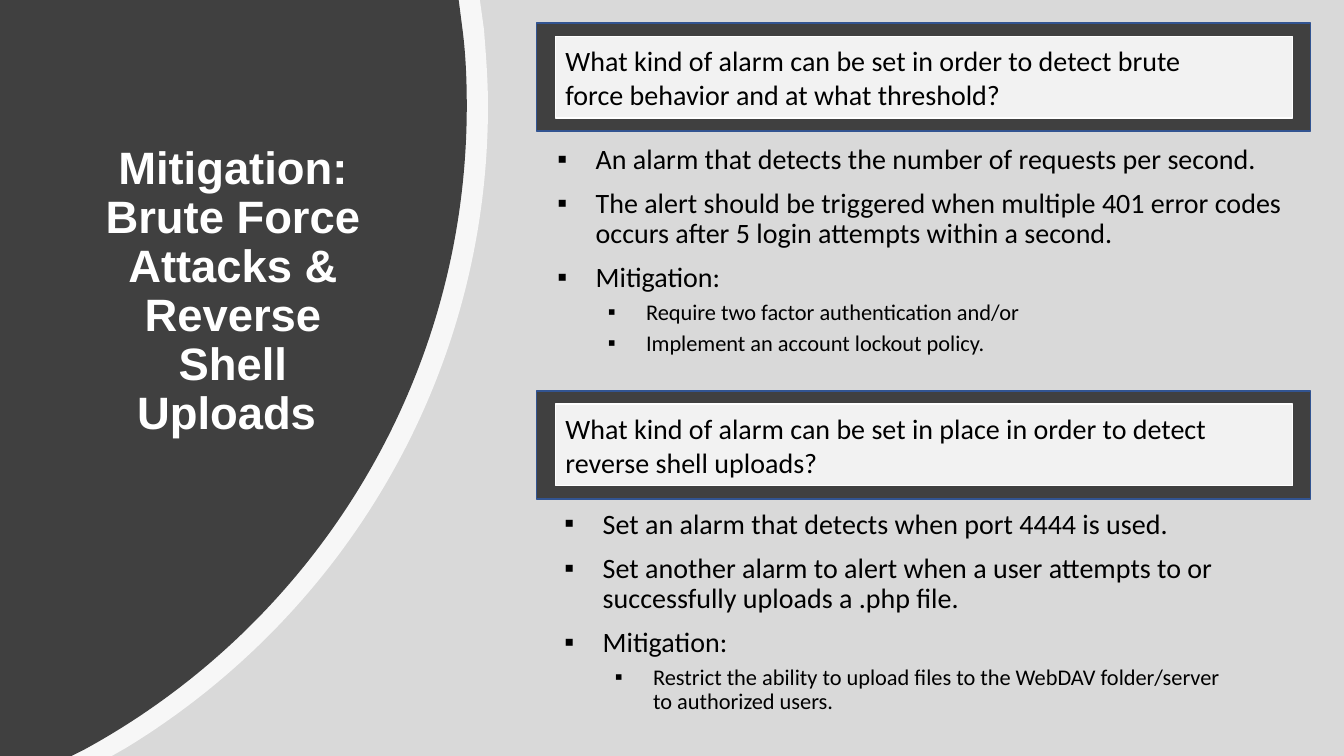
from lxml.etree import SubElement
from pptx import Presentation
from pptx.dml.color import RGBColor
from pptx.enum.shapes import MSO_SHAPE
from pptx.enum.text import MSO_ANCHOR, PP_ALIGN
from pptx.oxml.ns import qn
from pptx.util import Pt

PX = 9144
WIDTH, HEIGHT = 1333, 750
WHITE = RGBColor(0xFF, 0xFF, 0xFF)
BLACK = RGBColor(0x00, 0x00, 0x00)
CHARCOAL = RGBColor(0x40, 0x40, 0x40)
LIGHT = RGBColor(0xF2, 0xF2, 0xF2)
GREY = RGBColor(0xD9, 0xD9, 0xD9)
BLUE = RGBColor(0x32, 0x54, 0x91)
NBSP = chr(160)

TITLE = f"Mitigation: Brute Force Attacks &\vReverse Shell Uploads{NBSP}"
BRUTE_FORCE_QUESTION = (
    "What kind of alarm can be set in order to detect brute "
    f"force{NBSP}behavior and at what threshold?"
)
BRUTE_FORCE_ANSWERS = [
    (0, f"An alarm that detects the number of requests per second.{NBSP}"),
    (0, f"The alert should be triggered when{NBSP}multiple 401 error codes "
        f"occurs after 5 login attempts{NBSP}within a second."),
    (0, "Mitigation:"),
    (1, f"Require two factor authentication and/or{NBSP}"),
    (1, "Implement an account lockout policy."),
]
UPLOAD_QUESTION = (
    "What kind of alarm can be set in place in order to detect "
    f"reverse{NBSP}shell uploads?"
)
UPLOAD_ANSWERS = [
    (0, "Set an alarm that detects when port 4444 is used."),
    (0, "Set another alarm to alert when a user attempts to or "
        f"successfully uploads a .php{NBSP}file."),
    (0, "Mitigation:"),
    (1, f"Restrict the ability to upload files{NBSP}to the WebDAV{NBSP}"
        f"folder/server to{NBSP}authorized users.{NBSP}"),
]


class SlideBuilder:
    body_font = "Calibri"
    title_font = "Arial"
    sizes = (20, 16)
    gaps = (10, 5)

    def __init__(self, slide):
        self.shapes = slide.shapes

    def paint(self, shape, fill, line=None):
        shape.shadow.inherit = False
        shape.fill.solid()
        shape.fill.fore_color.rgb = fill
        if line is None:
            shape.line.fill.background()
        else:
            shape.line.color.rgb = line
            shape.line.width = Pt(1)

    def style(self, para, font, size, color, bold=False):
        para.font.size = Pt(size)
        for span in para.runs:
            span.font.name = font
            span.font.size = Pt(size)
            span.font.color.rgb = color
            span.font.bold = bold

    def rectangle(self, left, top, width, height, fill, line=None):
        box = self.shapes.add_shape(
            MSO_SHAPE.RECTANGLE, left * PX, top * PX, width * PX, height * PX
        )
        self.paint(box, fill, line)
        return box

    def textbox(self, left, top, width, height):
        box = self.shapes.add_textbox(left * PX, top * PX, width * PX, height * PX)
        box.text_frame.word_wrap = True
        return box.text_frame

    def curved_panel(self, top_edge, arc_start, curves, foot, fill, opacity=100):
        ends = [curve[-1] for curve in curves]
        points = [(top_edge, 0), arc_start, *ends, (foot, HEIGHT), (0, HEIGHT)]
        outline = self.shapes.build_freeform(0, 0, scale=float(PX))
        outline.add_line_segments(points, close=True)
        panel = outline.convert_to_shape()
        self.paint(panel, fill)
        segments = list(panel._element.iter(qn("a:lnTo")))[2:]
        for segment, curve in zip(segments, curves):
            segment.tag = qn("a:cubicBezTo")
            end = segment[0]
            for x, y in curve[:2]:
                SubElement(segment, qn("a:pt"), x=str(x), y=str(y))
            segment.append(end)
        if opacity < 100:
            color = panel.fill._xPr.find(qn("a:solidFill"))[0]
            SubElement(color, qn("a:alpha"), val=str(opacity * 1000))

    def title(self, left, top, width, height, text):
        frame = self.textbox(left, top, width, height)
        frame.margin_left = frame.margin_right = 12 * PX
        frame.text = text
        para = frame.paragraphs[0]
        para.alignment = PP_ALIGN.CENTER
        para.line_spacing = 0.9
        self.style(para, self.title_font, 32.4, WHITE, bold=True)

    def question(self, left, top, text):
        self.rectangle(left, top, 768, 107, CHARCOAL, BLUE)
        box = self.rectangle(left + 19, top + 13, 731, 81, LIGHT, WHITE)
        frame = box.text_frame
        frame.word_wrap = True
        frame.vertical_anchor = MSO_ANCHOR.MIDDLE
        frame.text = text
        para = frame.paragraphs[0]
        para.alignment = PP_ALIGN.LEFT
        self.style(para, self.body_font, self.sizes[0], BLACK)

    def bullets(self, left, top, width, height, items):
        frame = self.textbox(left, top, width, height)
        frame.text = "\n".join(text for level, text in items)
        for para, (level, text) in zip(frame.paragraphs, items):
            para.level = level
            para.line_spacing = 0.9
            para.space_before = Pt(self.gaps[level])
            properties = para._p.get_or_add_pPr()
            properties.set("marL", str((38 + 50 * level) * PX))
            properties.set("indent", str(-38 * PX))
            SubElement(properties, qn("a:buFont"), typeface=self.title_font)
            SubElement(properties, qn("a:buChar"), char="▪")
            self.style(para, self.body_font, self.sizes[level], BLACK)


def main():
    deck = Presentation()
    deck.slide_width = WIDTH * PX
    deck.slide_height = HEIGHT * PX
    page = SlideBuilder(deck.slides.add_slide(deck.slide_layouts[6]))

    page.rectangle(0, 0, WIDTH, HEIGHT, GREY)
    page.curved_panel(
        476, (480, 29),
        [((482, 54), (484, 80), (484, 105)), ((484, 375), (340, 611), (125, 742))],
        111, WHITE, opacity=80,
    )
    page.curved_panel(
        455, (459, 31),
        [((462, 55), (463, 80), (463, 105)), ((463, 381), (309, 621), (83, 744))],
        71, CHARCOAL,
    )
    page.title(74, 139, 314, 236, TITLE)
    page.bullets(543, 139, 756, 224, BRUTE_FORCE_ANSWERS)
    page.bullets(550, 501, 756, 236, UPLOAD_ANSWERS)
    page.question(532, 23, BRUTE_FORCE_QUESTION)
    page.question(532, 388, UPLOAD_QUESTION)
    deck.save("out.pptx")


if __name__ == "__main__":
    main()
